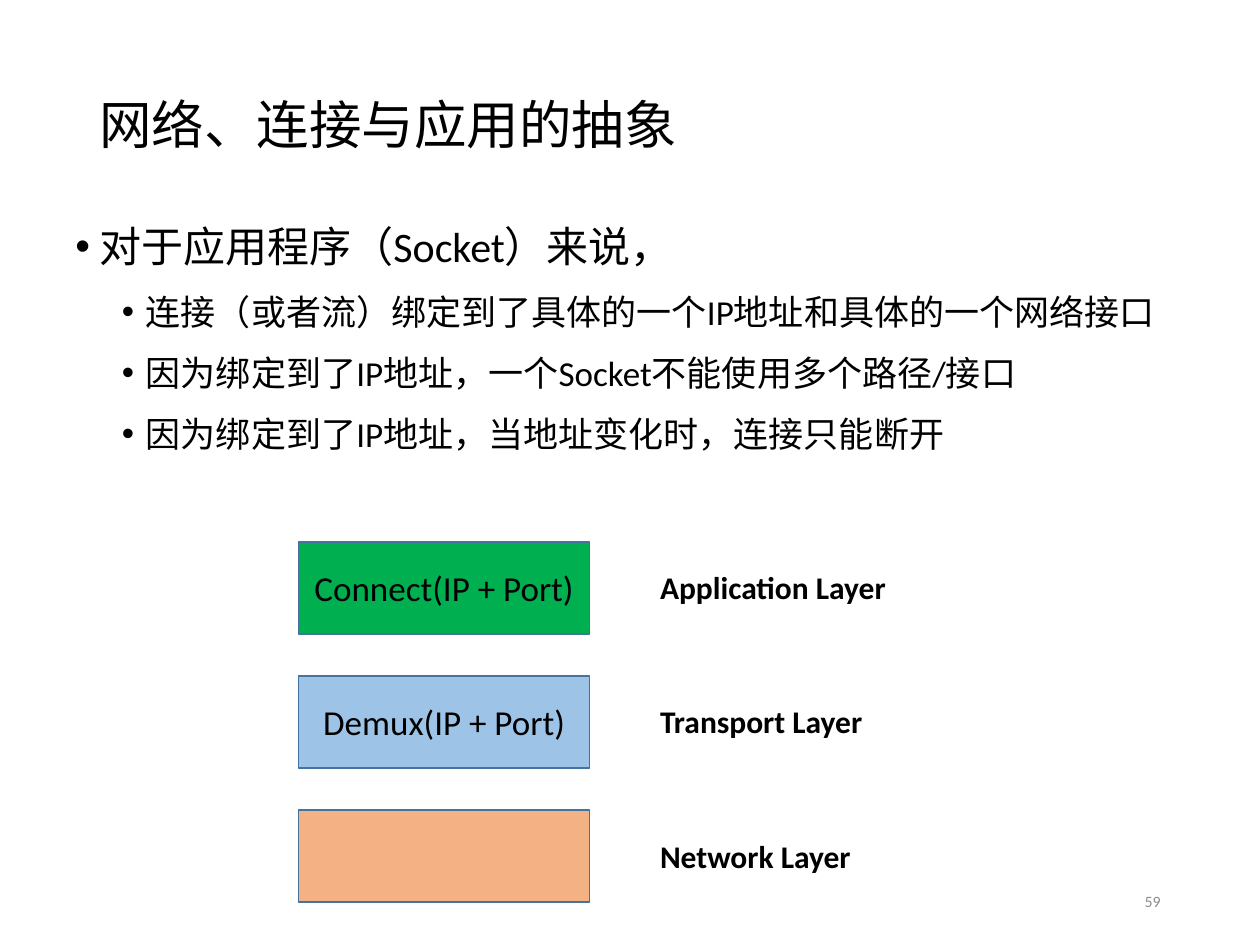
from lxml import etree
from pptx import Presentation
from pptx.dml.color import RGBColor
from pptx.enum.shapes import MSO_SHAPE
from pptx.enum.text import MSO_ANCHOR, PP_ALIGN
from pptx.oxml.ns import qn
from pptx.util import Inches, Pt

RECTANGLE = MSO_SHAPE.RECTANGLE
TOP, MIDDLE = MSO_ANCHOR.TOP, MSO_ANCHOR.MIDDLE
LEFT, CENTER, RIGHT = PP_ALIGN.LEFT, PP_ALIGN.CENTER, PP_ALIGN.RIGHT

BLACK = RGBColor(0x00, 0x00, 0x00)
GRAY = RGBColor(0x8C, 0x8C, 0x8C)
GREEN = RGBColor(0x00, 0xB0, 0x50)
BLUE = RGBColor(0x9D, 0xC3, 0xE6)
ORANGE = RGBColor(0xF4, 0xB1, 0x83)
OUTLINE = RGBColor(0x43, 0x73, 0x9E)

TITLE = "网络、连接与应用的抽象"
BULLETS = [
    (0, "对于应用程序（Socket）来说，"),
    (1, "连接（或者流）绑定到了具体的一个IP地址和具体的一个网络接口"),
    (1, "因为绑定到了IP地址，一个Socket不能使用多个路径/接口"),
    (1, "因为绑定到了IP地址，当地址变化时，连接只能断开"),
]
# Size, space before and left margin of each bullet level
BULLET_LEVELS = [(24, 7.5, 0.19), (20, 3.8, 0.56)]
BULLET_HANGING = 0.19

LAYERS = [
    ("Application Layer", "Connect(IP + Port)", GREEN),
    ("Transport Layer", "Demux(IP + Port)", BLUE),
    ("Network Layer", "", ORANGE),
]
LAYER_TOP, LAYER_PITCH = 4.3, 1.065
LABEL_OFFSET = 0.16


class SlideBuilder:
    font_name = "Calibri"

    def __init__(self, slide):
        self.slide = slide

    def format_paragraph(self, paragraph, size, color=BLACK, bold=False, align=LEFT):
        paragraph.alignment = align
        for run in paragraph.runs:
            run.font.name = self.font_name
            run.font.size = Pt(size)
            run.font.color.rgb = color
            run.font.bold = bold

    def text(self, box, text, size, anchor=TOP, wrap=True, line_spacing=None, **style):
        shape = self.slide.shapes.add_textbox(*map(Inches, box))
        frame = shape.text_frame
        frame.word_wrap = wrap
        frame.vertical_anchor = anchor
        frame.text = text
        paragraph = frame.paragraphs[0]
        paragraph.line_spacing = line_spacing
        self.format_paragraph(paragraph, size, **style)

    def bullets(self, box, items):
        frame = self.slide.shapes.add_textbox(*map(Inches, box)).text_frame
        frame.word_wrap = True
        frame.text = "\n".join(text for _, text in items)
        for paragraph, (level, _) in zip(frame.paragraphs, items):
            size, space_before, margin = BULLET_LEVELS[level]
            paragraph.level = level
            paragraph.line_spacing = 1.3
            paragraph.space_before = Pt(space_before)
            self.format_paragraph(paragraph, size)
            properties = paragraph._p.get_or_add_pPr()
            properties.set("marL", str(Inches(margin)))
            properties.set("indent", str(-Inches(BULLET_HANGING)))
            etree.SubElement(properties, qn("a:buFont"), typeface="Arial")
            etree.SubElement(properties, qn("a:buChar"), char="•")

    def rectangle(self, box, text, fill):
        shape = self.slide.shapes.add_shape(RECTANGLE, *map(Inches, box))
        shape.shadow.inherit = False
        shape.fill.solid()
        shape.fill.fore_color.rgb = fill
        shape.line.color.rgb = OUTLINE
        shape.line.width = Pt(1)
        if text:
            shape.text_frame.text = text
            shape.text_frame.vertical_anchor = MIDDLE
            self.format_paragraph(shape.text_frame.paragraphs[0], 20, align=CENTER)


def main():
    presentation = Presentation()
    presentation.slide_width = Inches(10)
    presentation.slide_height = Inches(7.5)
    slide = presentation.slides.add_slide(presentation.slide_layouts[6])
    builder = SlideBuilder(slide)

    builder.text((0.69, 0.4, 8.62, 1.23), TITLE, 30, anchor=MIDDLE, line_spacing=0.9)
    builder.bullets((0.5, 1.58, 9.5, 2.38), BULLETS)
    for index, (label, content, fill) in enumerate(LAYERS):
        top = LAYER_TOP + index * LAYER_PITCH
        builder.rectangle((2.37, top, 2.31, 0.73), content, fill)
        builder.text((5.14, top + LABEL_OFFSET, 2, 0.4), label, 18, wrap=False, bold=True)
    builder.text((7.06, 6.95, 2.25, 0.4), "59", 9, anchor=MIDDLE, color=GRAY, align=RIGHT)

    presentation.save("out.pptx")


if __name__ == "__main__":
    main()
